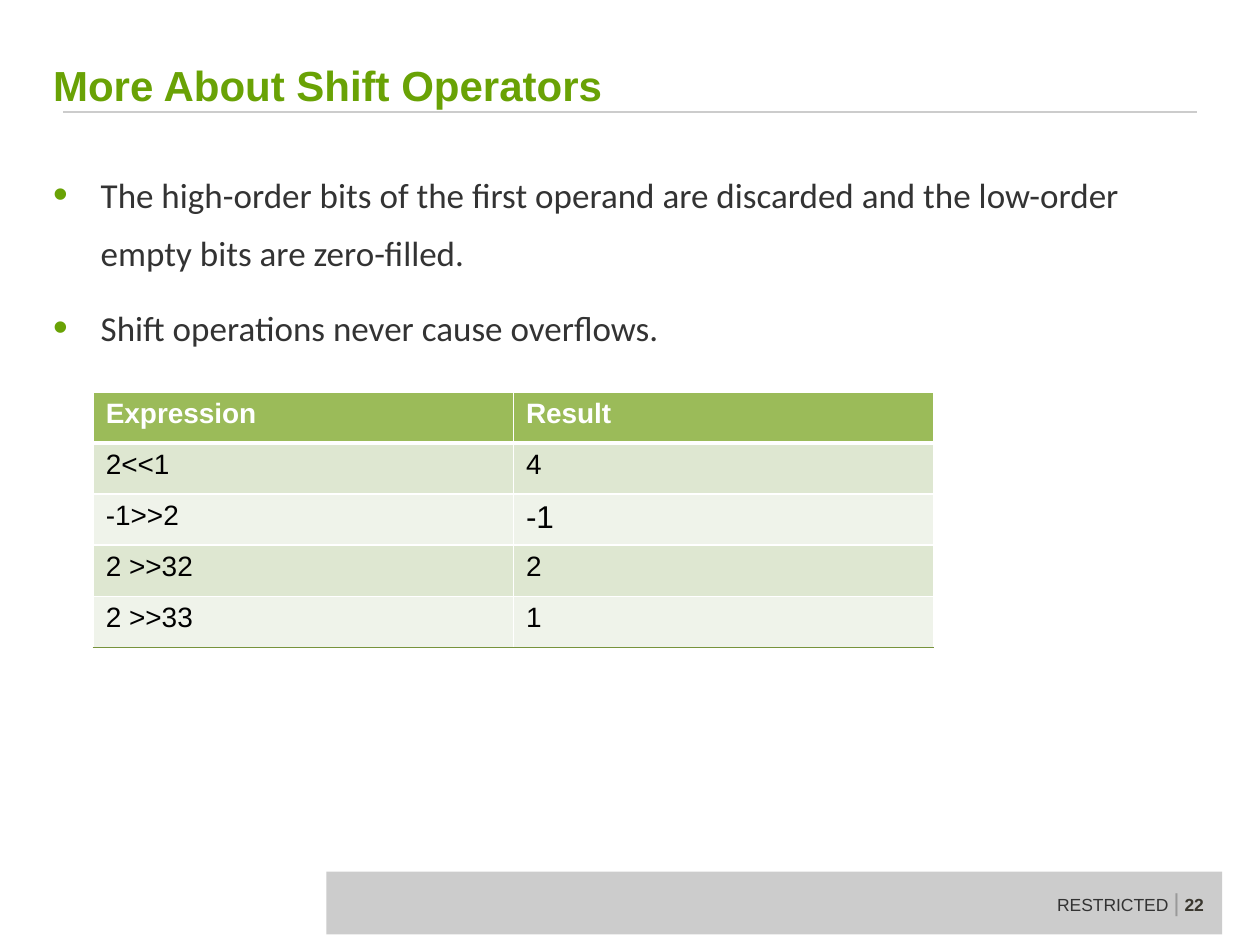
from lxml.etree import SubElement
from pptx import Presentation
from pptx.dml.color import RGBColor as Rgb
from pptx.enum.shapes import MSO_CONNECTOR as Conn, MSO_SHAPE as Shape
from pptx.enum.text import MSO_ANCHOR as Anchor, MSO_AUTO_SIZE as Fit, PP_ALIGN as Align
from pptx.oxml.ns import qn
from pptx.util import Cm, Pt

HUES = {
    "green": "69A205", "gray": "CCCCCC", "mid": "999999", "text": "333333",
    "page": "3A372F", "white": "FFFFFF", "black": "000000", "head": "9BBB59",
    "odd": "DEE7D1", "even": "EFF3EA", "edge": "77933C",
}
POINTS = [
    "The high-order bits of the first operand are discarded and the low-order "
    "empty bits are zero-filled.",
    "Shift operations never cause overflows.",
]
ROWS = [("Expression", "Result"), ("2<<1", "4"), ("-1>>2", "-1"),
        ("2 >>32", "2"), ("2 >>33", "1")]


def hue(name):
    return Rgb.from_string(HUES[name])


def put(item, **vals):
    for key, val in vals.items():
        setattr(item, key, val)


def place(shape, left, top, width, height):
    put(shape, left=Cm(left), top=Cm(top), width=Cm(width), height=Cm(height))


def add_run(para, text, size, color, bold=False, name="Arial"):
    run = para.add_run()
    run.text = text
    put(run.font, size=Pt(size), bold=bold, name=name)
    run.font.color.rgb = hue(color)


def add_rule(slide):
    line = slide.shapes.add_connector(Conn.STRAIGHT, Cm(1.27), Cm(2.26), Cm(24.13), Cm(2.26))
    line.line.color.rgb = hue("gray")
    line.line.width = Pt(1.5)
    SubElement(line._element.spPr, qn("a:effectLst"))


def add_foot(slide):
    bar = slide.shapes.add_shape(Shape.RECTANGLE, Cm(6.58), Cm(17.57), Cm(18.06), Cm(1.27))
    bar.shadow.inherit = False
    bar.fill.solid()
    bar.fill.fore_color.rgb = hue("gray")
    bar.line.fill.background()
    box = slide.shapes.add_textbox(Cm(21.06), Cm(17.76), Cm(3.56), Cm(0.86))
    put(box.text_frame, word_wrap=False, auto_size=Fit.SHAPE_TO_FIT_TEXT)
    para = box.text_frame.paragraphs[0]
    add_run(para, "RESTRICTED ", 10, "text")
    add_run(para, "|", 14, "mid")
    add_run(para, " 22", 10, "page", True)


def set_title(title):
    place(title, 1.07, 0.89, 23.22, 1.45)
    put(title.text_frame, vertical_anchor=Anchor.BOTTOM, auto_size=Fit.NONE,
        margin_left=0, margin_right=0, margin_top=0, margin_bottom=Cm(0.13))
    para = title.text_frame.paragraphs[0]
    para.alignment = Align.LEFT
    add_run(para, "More About Shift Operators", 24, "green", True)


def add_bullet(para):
    props = para._p.get_or_add_pPr()
    props.set("marL", str(Cm(0.96)))
    props.set("indent", str(-Cm(0.96)))
    color = SubElement(props, qn("a:buClr"))
    SubElement(color, qn("a:srgbClr"), val=HUES["green"])
    SubElement(props, qn("a:buSzPct"), val="120000")
    SubElement(props, qn("a:buFont"), typeface="Arial")
    SubElement(props, qn("a:buChar"), char="•")


def set_list(body):
    place(body, 1.07, 3.15, 22.81, 12.95)
    frame = body.text_frame
    put(frame, auto_size=Fit.NONE, margin_left=0, margin_right=0,
        margin_top=0, margin_bottom=0)
    for i, text in enumerate(POINTS):
        para = frame.add_paragraph() if i else frame.paragraphs[0]
        put(para, line_spacing=1.4, space_before=Pt(5), space_after=Pt(4))
        add_bullet(para)
        add_run(para, text, 20, "text", name="Calibri")


def add_edge(cell, side, color, width):
    line = SubElement(cell._tc.get_or_add_tcPr(), qn("a:ln" + side), w=str(Pt(width)))
    fill = SubElement(line, qn("a:solidFill"))
    SubElement(fill, qn("a:srgbClr"), val=HUES[color])


def set_cell(cell, text, row):
    head, last = row == 0, row == len(ROWS) - 1
    for side in "LRT":
        add_edge(cell, side, "white", 3 if side == "T" and row == 1 else 1)
    add_edge(cell, "B", "edge" if last else "white", 0.25 if last else 3 if head else 1)
    cell.fill.solid()
    cell.fill.fore_color.rgb = hue("head" if head else "odd" if row % 2 else "even")
    size = 18 if text == "-1" else 16
    add_run(cell.text_frame.paragraphs[0], text, size, "white" if head else "black", head)


def add_grid(slide):
    grid = slide.shapes.add_table(len(ROWS), 2, Cm(1.88), Cm(7.9), Cm(16.94), Cm(5.15)).table
    for r, row in enumerate(ROWS):
        for c, text in enumerate(row):
            set_cell(grid.cell(r, c), text, r)


def main():
    deck = Presentation()
    put(deck, slide_width=Cm(25.4), slide_height=Cm(19.05))
    slide = deck.slides.add_slide(deck.slide_layouts[1])
    add_rule(slide)
    add_foot(slide)
    set_title(slide.shapes.title)
    set_list(slide.placeholders[1])
    add_grid(slide)
    deck.save("out.pptx")


if __name__ == "__main__":
    main()
